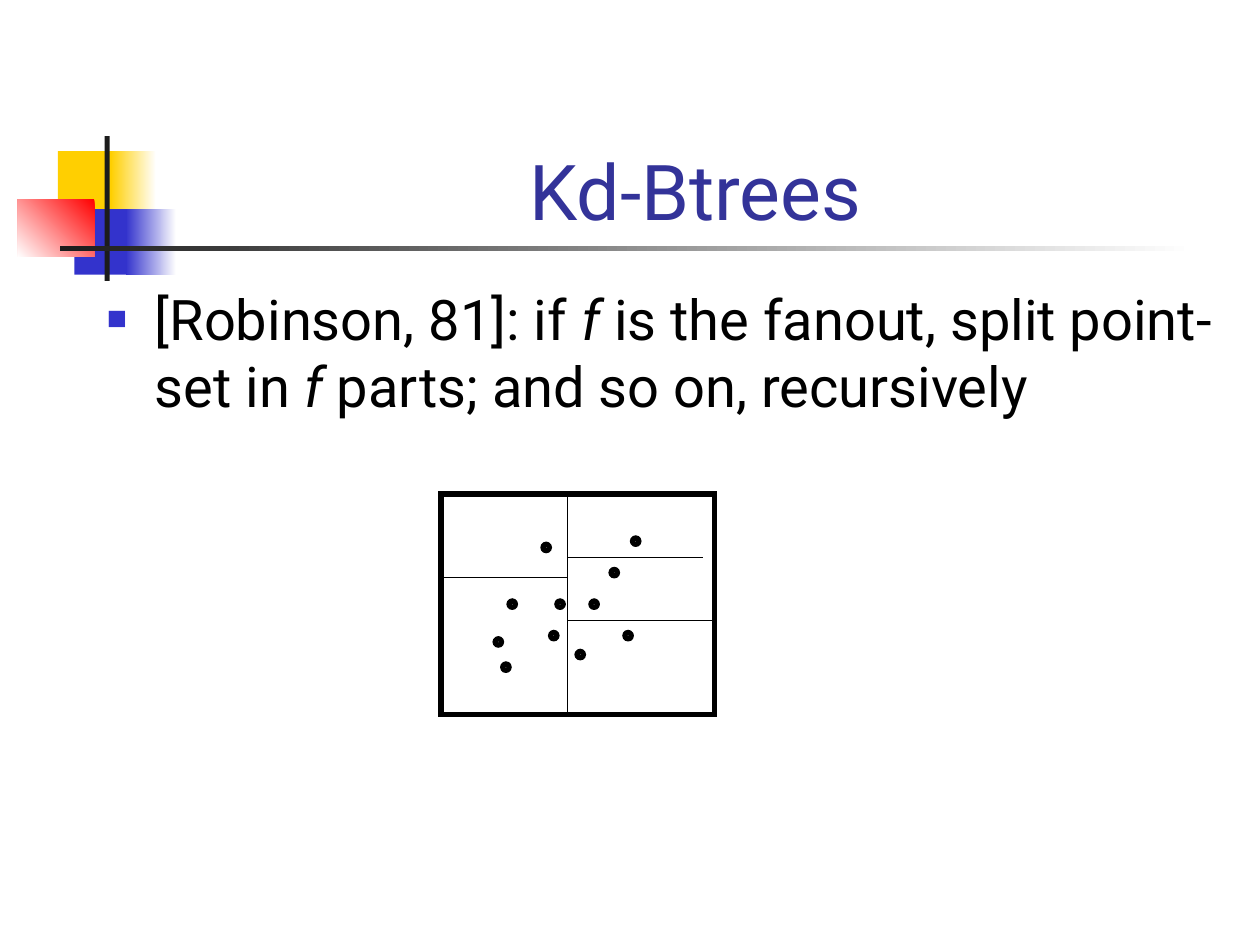
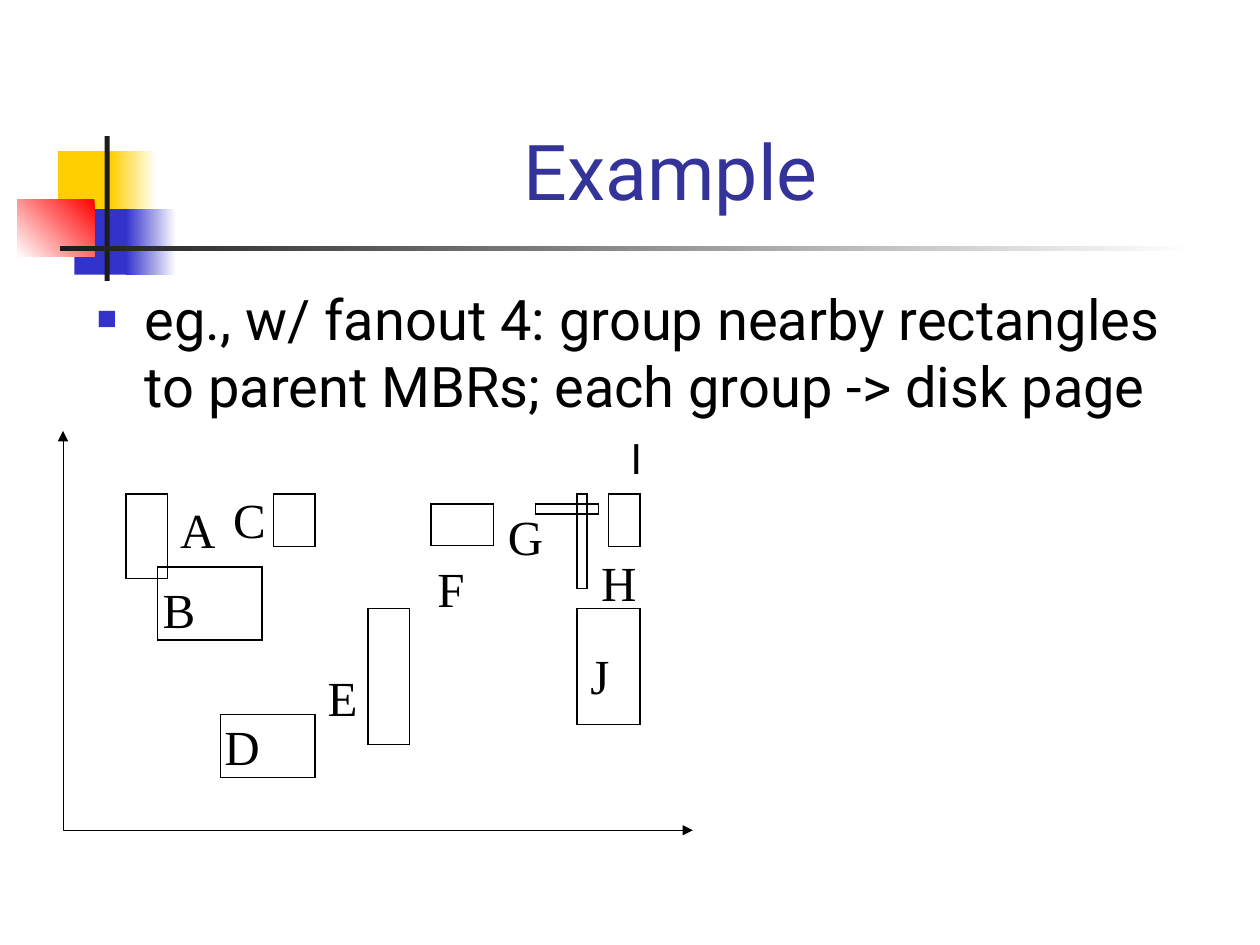
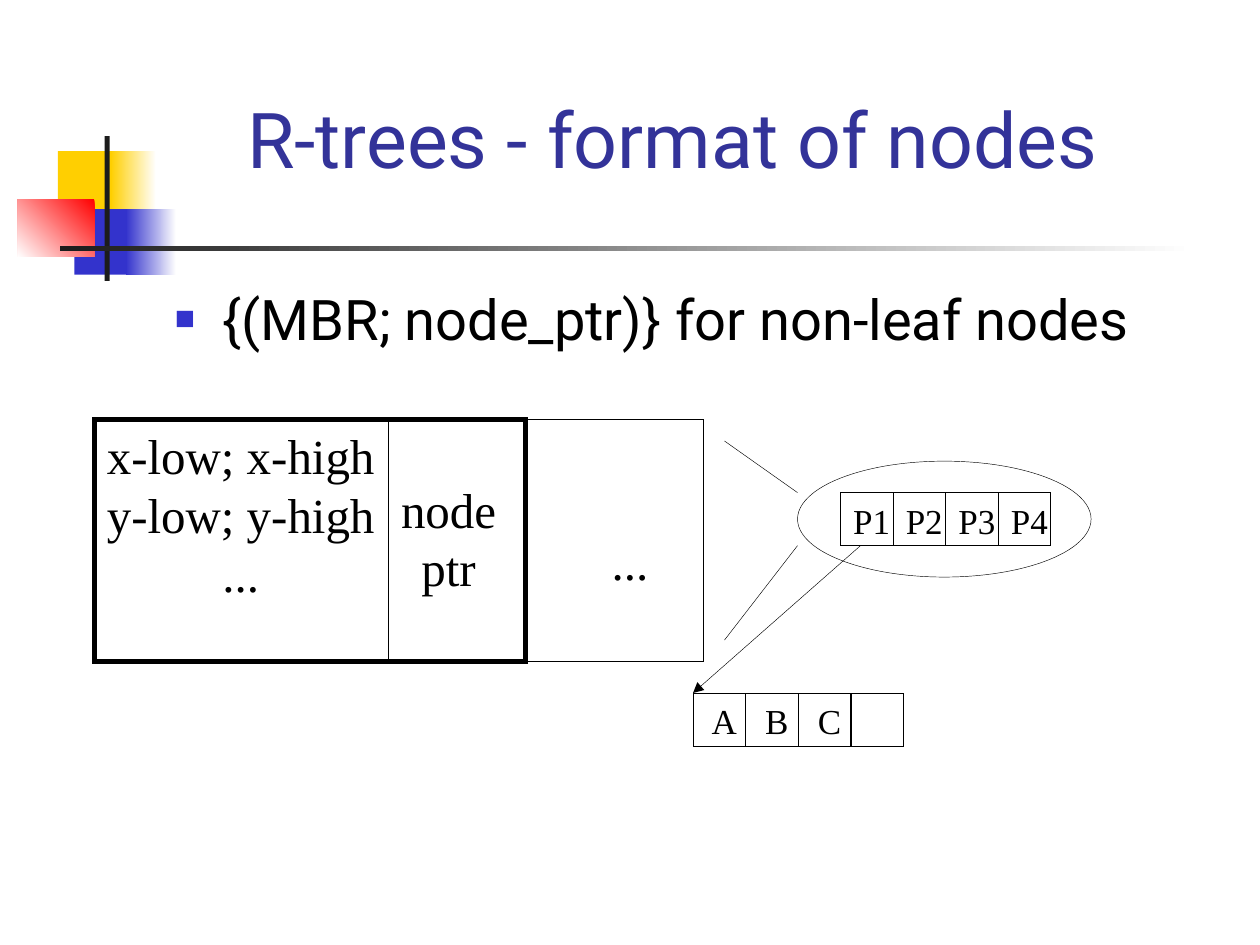
from dataclasses import dataclass

from lxml.etree import SubElement
from pptx import Presentation
from pptx.dml.color import RGBColor
from pptx.enum.shapes import MSO_CONNECTOR, MSO_SHAPE
from pptx.enum.text import MSO_ANCHOR, PP_ALIGN
from pptx.oxml.ns import qn
from pptx.util import Inches, Pt


@dataclass(frozen=True)
class Theme:
    sans: str = "Roboto"
    serif: str = "Times New Roman"
    ink: str = "000000"
    title: str = "333399"
    yellow: str = "FFCF01"
    blue: str = "3333CC"
    red: str = "FF0000"
    rule: str = "1C1C1C"
    paper: str = "FFFFFF"
    title_size: float = 44
    body_size: float = 32
    label_size: float = 28
    small_label_size: float = 24
    cell_size: float = 20
    hairline: float = 0.25
    thin: float = 0.75
    thick: float = 3


@dataclass(frozen=True)
class Box:
    left: float
    top: float
    width: float
    height: float

    def inner(self, x, y, width, height):
        return Box(self.left + x, self.top + y, width, height)

    def point(self, x, y):
        return Inches(self.left + x), Inches(self.top + y)

    def emu(self):
        return [Inches(v) for v in (self.left, self.top, self.width, self.height)]


THEME = Theme()
CORNER = Box(0.14, 1.08, 9.34, 1.15)


# Drawing helpers
def rgb(color):
    return RGBColor.from_string(color)


def outline(shapes, box, weight, kind=MSO_SHAPE.RECTANGLE):
    shape = shapes.add_shape(kind, *box.emu())
    shape.shadow.inherit = False
    shape.fill.background()
    shape.line.color.rgb = rgb(THEME.ink)
    shape.line.width = Pt(weight)
    SubElement(shape.line._get_or_add_ln(), qn("a:miter"), lim="800000")
    return shape


def block(slide, box, start, end=None, angle=180):
    """Borderless rectangle, plain or with a gradient."""
    shape = slide.shapes.add_shape(MSO_SHAPE.RECTANGLE, *box.emu())
    shape.shadow.inherit = False
    shape.line.fill.background()
    if end is None:
        shape.fill.solid()
        shape.fill.fore_color.rgb = rgb(start)
        return
    shape.fill.gradient()
    shape.fill.gradient_angle = angle
    for stop, position, color in zip(shape.fill.gradient_stops, (0, 1), (start, end)):
        stop.position = position
        stop.color.rgb = rgb(color)


def add_arrowheads(shape, *ends):
    line = shape.line._get_or_add_ln()
    for end in ends:
        SubElement(line, qn(f"a:{end}"), type="triangle")


def segment(slide, start, end):
    line = slide.shapes.add_connector(MSO_CONNECTOR.STRAIGHT, *start, *end)
    line.line.color.rgb = rgb(THEME.ink)
    line.line.width = Pt(THEME.hairline)
    SubElement(line._element.spPr, qn("a:effectLst"))
    return line


def add_run(paragraph, text, font, size, color=THEME.ink, italic=False):
    run = paragraph.add_run()
    run.text = text
    run.font.name = font
    run.font.size = Pt(size)
    run.font.color.rgb = rgb(color)
    run.font.italic = italic


def label(slide, box, center, width, *lines, font=THEME.serif, size=THEME.label_size):
    """Centred lines of text around a point of the box."""
    x, y = center
    height = 0.1 + 0.47 * len(lines)
    area = box.inner(x - width / 2, y - height / 2, width, height)
    frame = slide.shapes.add_textbox(*area.emu()).text_frame
    frame.word_wrap = False
    frame.margin_left = frame.margin_right = 0
    frame.vertical_anchor = MSO_ANCHOR.MIDDLE
    for index, line in enumerate(lines):
        paragraph = frame.add_paragraph() if index else frame.paragraphs[0]
        paragraph.alignment = PP_ALIGN.CENTER
        add_run(paragraph, line, font, size)


# Shared slide parts
def corner_squares(slide, box):
    t = THEME
    block(slide, box.inner(0.32, 0.12, 0.48, 0.52), t.yellow)
    block(slide, box.inner(0.74, 0.12, 0.36, 0.52), t.paper, t.yellow)
    block(slide, box.inner(0.45, 0.58, 0.46, 0.52), t.blue)
    block(slide, box.inner(0.86, 0.58, 0.4, 0.52), t.paper, t.blue)
    block(slide, box.inner(0, 0.5, 0.61, 0.46), t.red, t.paper, 225)
    block(slide, box.inner(0.69, 0, 0.04, box.height), t.rule)
    block(slide, box.inner(0.34, 0.87, 9, 0.04), t.paper, t.rule)


def title(slide, box, text):
    frame = slide.shapes.add_textbox(*box.emu()).text_frame
    frame.word_wrap = True
    frame.vertical_anchor = MSO_ANCHOR.BOTTOM
    heading = frame.paragraphs[0]
    heading.alignment = PP_ALIGN.CENTER
    add_run(heading, text, THEME.sans, THEME.title_size, THEME.title)


def bullet(slide, box, *parts):
    """One bulleted paragraph; every second part is italic."""
    frame = slide.shapes.add_textbox(*box.emu()).text_frame
    frame.word_wrap = True
    statement = frame.paragraphs[0]
    props = statement._p.get_or_add_pPr()
    props.set("marL", str(Inches(0.38)))
    props.set("indent", str(Inches(-0.38)))
    SubElement(SubElement(props, qn("a:buClr")), qn("a:srgbClr"), val=THEME.blue)
    SubElement(props, qn("a:buSzPct"), val="60000")
    SubElement(props, qn("a:buFont"), typeface=THEME.serif)
    SubElement(props, qn("a:buChar"), char="■")
    for index, part in enumerate(parts):
        add_run(statement, part, THEME.sans, THEME.body_size, italic=index % 2 == 1)


def start_slide(deck, title_box, title_text, body_left, body_width, *body):
    slide = deck.slides.add_slide(deck.slide_layouts[6])
    corner_squares(slide, CORNER)
    title(slide, title_box, title_text)
    bullet(slide, Box(body_left, 2.21, body_width, 4.5), *body)
    return slide


# Kd-Btrees: points and the splits between them
POINTS = [(0.43, 1.15), (0.49, 1.35), (0.87, 1.1), (0.81, 0.4), (1.19, 0.85), (0.54, 0.85),
          (1.52, 0.35), (1.35, 0.6), (0.92, 0.85), (1.46, 1.1), (1.08, 1.25)]


def split_point_set(slide, box):
    outline(slide.shapes, box, THEME.thick)
    for x, y in POINTS:
        outline(slide.shapes, box.inner(x, y, 0.05, 0.05), THEME.thick, MSO_SHAPE.OVAL)
    middle = 1
    splits = [((middle, box.height), (middle, 0)), ((0, 0.66), (middle, 0.66)),
              ((middle, 1), (box.width, 1)), ((middle, 0.5), (2.08, 0.5))]
    for start, end in splits:
        segment(slide, box.point(*start), box.point(*end))


# Example: rectangles on two axes
RECTANGLES = {
    "A": (0.5, 0.5, 0.33, 0.67), "C": (1.67, 0.5, 0.33, 0.42),
    "B": (0.75, 1.08, 0.83, 0.58), "D": (1.25, 2.25, 0.75, 0.5),
    "E": (2.42, 1.41, 0.33, 1.08), "F": (2.92, 0.58, 0.5, 0.33),
    "J": (4.08, 1.41, 0.5, 0.92), "I": (4.33, 0.5, 0.25, 0.42),
    "G": (3.75, 0.58, 0.5, 0.08), "H": (4.08, 0.5, 0.08, 0.75),
}
LABEL_CENTERS = {
    "A": (1.07, 0.78), "B": (0.92, 1.41), "C": (1.48, 0.7), "D": (1.42, 2.5),
    "E": (2.22, 2.11), "F": (3.08, 1.25), "G": (3.67, 0.83), "H": (4.41, 1.2),
    "J": (4.26, 1.94),
}


def rectangle_plot(slide, box):
    for bounds in RECTANGLES.values():
        outline(slide.shapes, box.inner(*bounds), THEME.thin)
    builder = slide.shapes.build_freeform(*box.point(0, 0))
    builder.add_line_segments(
        [box.point(0, box.height), box.point(box.width, box.height)], close=False)
    axes = builder.convert_to_shape()
    axes.shadow.inherit = False
    axes.fill.background()
    axes.line.color.rgb = rgb(THEME.ink)
    axes.line.width = Pt(THEME.hairline)
    add_arrowheads(axes, "headEnd", "tailEnd")
    for name, center in LABEL_CENTERS.items():
        label(slide, box, center, 0.48, name)
    label(slide, box, (4.55, 0.21), 0.31, "I", font=THEME.sans, size=THEME.small_label_size)


# R-trees: node entry and the nodes it points to
def cell_row(slide, box, names):
    row = slide.shapes.add_group_shape().shapes
    width = box.width / len(names)
    for index, name in enumerate(names):
        cell = outline(row, box.inner(index * width, 0, width, box.height), THEME.hairline)
        if not name:
            continue
        frame = cell.text_frame
        frame.word_wrap = False
        frame.vertical_anchor = MSO_ANCHOR.MIDDLE
        frame.margin_left, frame.margin_top = Inches(0.08), Inches(0.02)
        frame.margin_right = frame.margin_bottom = 0
        frame.paragraphs[0].alignment = PP_ALIGN.CENTER
        add_run(frame.paragraphs[0], name, THEME.serif, THEME.cell_size)


def node_entry(slide, box):
    outline(slide.shapes, box, THEME.hairline)
    label(slide, box, (1.16, 0.75), 2.32, "x-low; x-high", "y-low; y-high", "...")
    label(slide, box, (2.81, 0.94), 0.95, "node", "ptr")
    label(slide, box, (4.25, 1.12), 0.49, "...")
    entry_width = 3.42
    for x in (2.33, entry_width):
        segment(slide, box.point(x, box.height), box.point(x, 0))
    outline(slide.shapes, box.inner(0, 0, entry_width, box.height), THEME.thick)


def node_tree(slide, box):
    cell_row(slide, box.inner(1.17, 0.41, 1.67, 0.42), ["P1", "P2", "P3", "P4"])
    cell_row(slide, box.inner(0, 2, 1.67, 0.42), ["A", "B", "C", ""])
    pointer = segment(slide, box.point(1.33, 0.83), box.point(0, 2))
    add_arrowheads(pointer, "tailEnd")
    # Zoom lines from the entry to its node
    for start, end in [((0.83, 0.41), (0.25, 0)), ((0.83, 0.83), (0.25, 1.58))]:
        segment(slide, box.point(*start), box.point(*end))
    outline(slide.shapes, box.inner(0.83, 0.16, 2.33, 0.92), THEME.hairline, MSO_SHAPE.OVAL)


def main():
    deck = Presentation()
    deck.slide_width, deck.slide_height = Inches(10), Inches(7.5)

    kd_btrees = start_slide(
        deck, Box(1.26, 0.67, 8.52, 1.25), "Kd-Btrees", 0.75, 9.04,
        "[Robinson, 81]: if ", "f", " is the fanout, split point-set in ", "f",
        " parts; and so on, recursively")
    split_point_set(kd_btrees, Box(3.5, 3.92, 2.17, 1.75))

    example = start_slide(
        deck, Box(1.48, 1.08, 7.69, 0.68), "Example", 0.67, 9.13,
        "eg., w/ fanout 4: group nearby rectangles to parent MBRs; each group -> disk page")
    rectangle_plot(example, Box(0.5, 3.42, 5, 3.17))

    node_format = start_slide(
        deck, Box(1.08, 0.5, 8.52, 1.01), "R-trees - format of nodes", 1.29, 8.5,
        "{(MBR; node_ptr)} for non-leaf nodes")
    node_entry(node_format, Box(0.75, 3.33, 4.83, 1.92))
    node_tree(node_format, Box(5.5, 3.5, 3.16, 2.42))

    deck.save("out.pptx")


if __name__ == "__main__":
    main()
